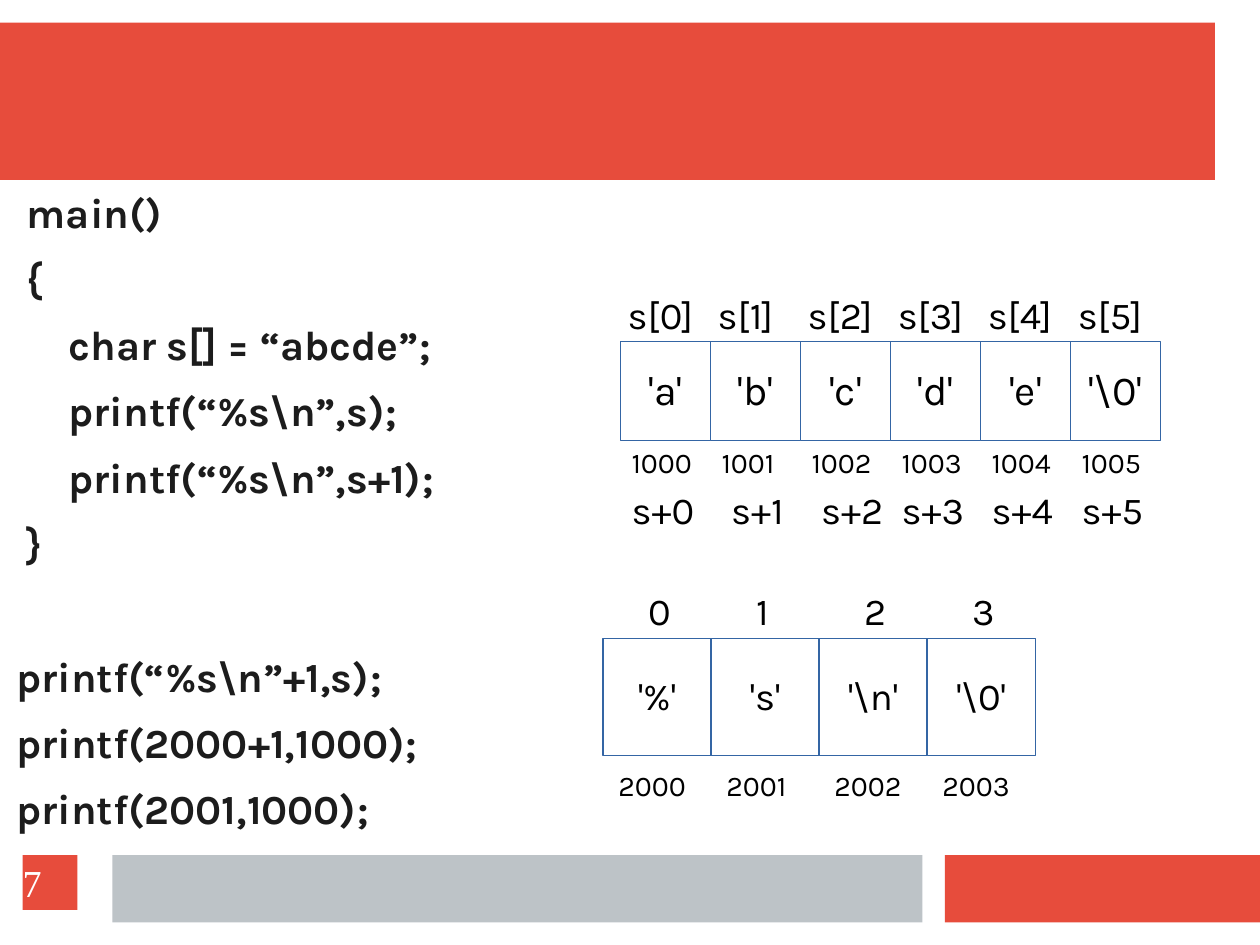
import pptx
import pptx.util
import pptx.dml.color
import pptx.enum.shapes
import pptx.enum.text

Pt = pptx.util.Pt
RGBColor = pptx.dml.color.RGBColor
ALIGN = pptx.enum.text.PP_ALIGN
ANCHOR = pptx.enum.text.MSO_ANCHOR

RED = RGBColor(0xE7, 0x4C, 0x3C)
GREY = RGBColor(0xBD, 0xC3, 0xC7)
BLUE = RGBColor(0x34, 0x65, 0xA4)
INK = RGBColor(0x1C, 0x1C, 0x1C)
BLACK = RGBColor(0, 0, 0)
WHITE = RGBColor(0xFF, 0xFF, 0xFF)

MAIN_CODE = [
    " main()",
    " {",
    "     char s[] = “abcde”;",
    "     printf(“%s\\n”,s);",
    "     printf(“%s\\n”,s+1);",
    " }",
]
REWRITTEN_CALLS = [
    "printf(“%s\\n”+1,s);",
    "printf(2000+1,1000);",
    "printf(2001,1000);",
]


def write(paragraph, text, size=24, font="Karla", color=BLACK, bold=False,
          align=ALIGN.LEFT, line_spacing=0.97):
    paragraph.alignment = align
    paragraph.line_spacing = line_spacing
    run = paragraph.add_run()
    run.text = text
    run.font.size = Pt(size)
    run.font.name = font
    run.font.color.rgb = color
    run.font.bold = bold


class MemorySlide:
    font = "Karla"

    def __init__(self, slide):
        self.shapes = slide.shapes

    def prepare(self, shape, left=0, top=0, anchor=ANCHOR.TOP):
        """Set insets, anchor and wrapping; return the text frame."""
        frame = shape.text_frame
        frame.margin_left, frame.margin_top = Pt(left), Pt(top)
        frame.margin_right = frame.margin_bottom = 0
        frame.vertical_anchor = anchor
        frame.word_wrap = True
        return frame

    def block(self, x, y, width, height, fill, outline=None):
        rect = self.shapes.add_shape(
            pptx.enum.shapes.MSO_SHAPE.RECTANGLE,
            Pt(x), Pt(y), Pt(width), Pt(height))
        rect.shadow.inherit = False
        rect.fill.solid()
        rect.fill.fore_color.rgb = fill
        if outline is None:
            rect.line.fill.background()
        else:
            rect.line.color.rgb = outline
            rect.line.width = Pt(0.75)
        return rect

    def cell(self, text, x, y, width, height, size):
        rect = self.block(x, y, width, height, WHITE, BLUE)
        frame = self.prepare(rect, anchor=ANCHOR.MIDDLE)
        write(frame.paragraphs[0], text, size=size, font=self.font,
              align=ALIGN.CENTER)

    def label(self, text, x, y, size=24):
        box = self.shapes.add_textbox(Pt(x), Pt(y), Pt(64), Pt(1.5 * size))
        frame = self.prepare(box, left=7.2, top=3.6)
        write(frame.paragraphs[0], text, size=size, font=self.font)

    def code(self, sections, x, y, width, height, section_gap):
        box = self.shapes.add_textbox(Pt(x), Pt(y), Pt(width), Pt(height))
        frame = self.prepare(box, left=4.6, top=0.7)
        for section_index, lines in enumerate(sections):
            for line_index, line in enumerate(lines):
                first = section_index == line_index == 0
                paragraph = frame.paragraphs[0] if first else frame.add_paragraph()
                paragraph.space_after = Pt(11.5)
                if section_index and not line_index:
                    paragraph.space_before = Pt(section_gap)
                write(paragraph, line, size=26, font=self.font, color=INK,
                      bold=True)

    def page_number(self, text, x, y, side):
        rect = self.block(x, y, side, side, RED)
        frame = self.prepare(rect, anchor=ANCHOR.MIDDLE)
        write(frame.paragraphs[0], text, font="Times New Roman", color=WHITE,
              line_spacing=1.0)


def main():
    deck = pptx.Presentation()
    deck.slide_width, deck.slide_height = Pt(793.75), Pt(595.25)
    page = MemorySlide(deck.slides.add_slide(deck.slide_layouts[6]))

    page.block(0, 14.2, 765.4, 99.2, RED)
    page.block(595.3, 538.6, 198.45, 42.5, RED)
    page.block(70.8, 538.6, 510.2, 42.5, GREY)
    page.code([MAIN_CODE, REWRITTEN_CALLS], 5.7, 118.8, 351.4, 408.2,
              section_gap=41.8)

    string_left, string_pitch = 390.9, 56.7
    offset_nudges = [0, 6, 6, 0, 0, 0]
    for i, char in enumerate(["'a'", "'b'", "'c'", "'d'", "'e'", "'\\0'"]):
        x = string_left + i * string_pitch
        page.cell(char, x, 215.2, string_pitch, 62.4, size=26)
        page.label(f"s[{i}]", x - 2.5, 181.4)
        page.label(f"{1000 + i}", x - 0.1, 277.8, size=18)
        page.label(f"s+{i}", x + offset_nudges[i], 304.4)

    format_left, format_pitch = 379.9, 68.05
    for i, char in enumerate(["'%'", "'s'", "'\\n'", "'\\0'"]):
        x = format_left + i * format_pitch
        page.cell(char, x, 402.3, format_pitch, 73.6, size=24)
        page.label(f"{2000 + i}", x + 2.6, 481.6, size=18)
        page.label(f"{i}", x + 21.3, 368.4)

    page.page_number("7", 14.2, 538.6, 34.6)
    deck.save("out.pptx")


if __name__ == "__main__":
    main()
